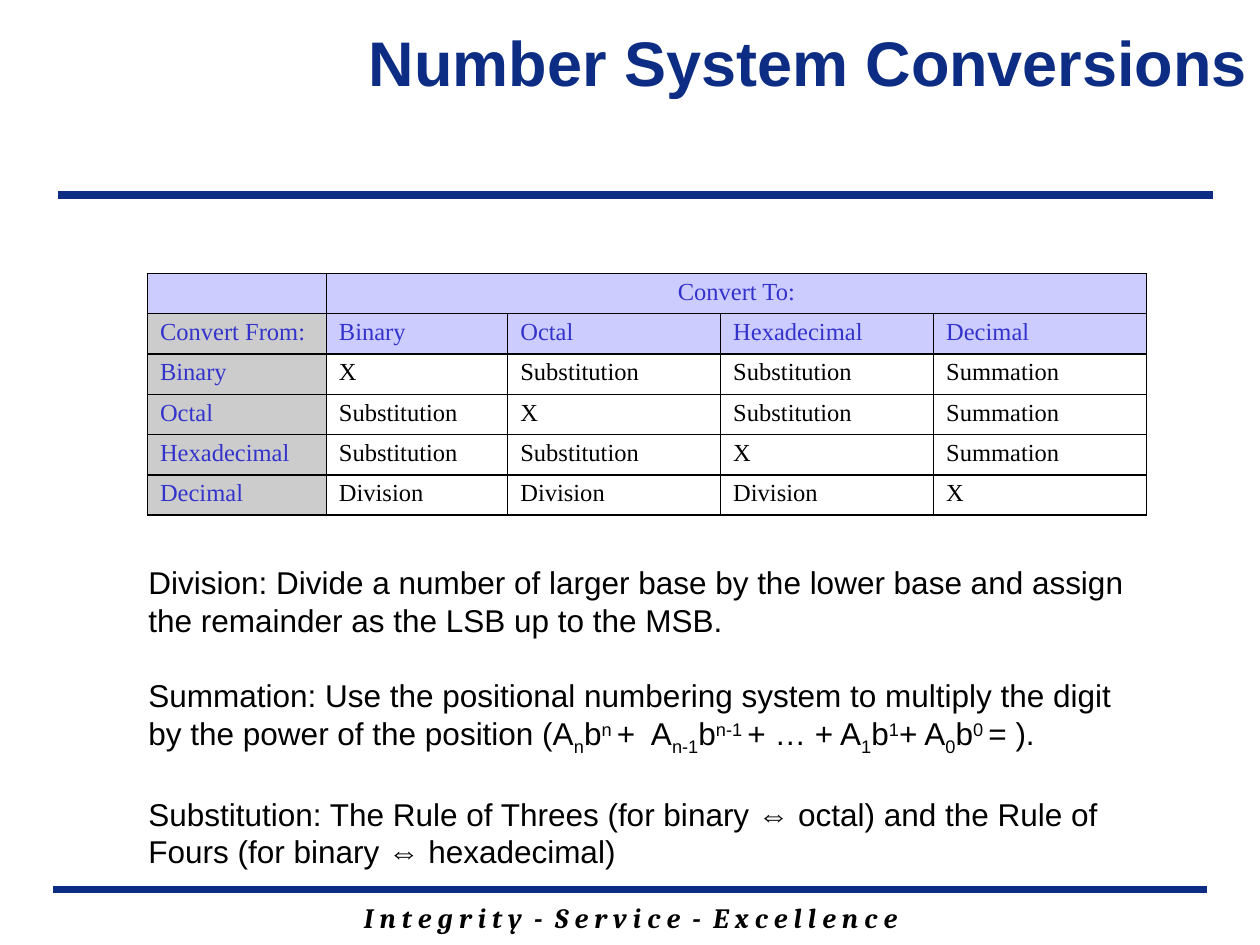
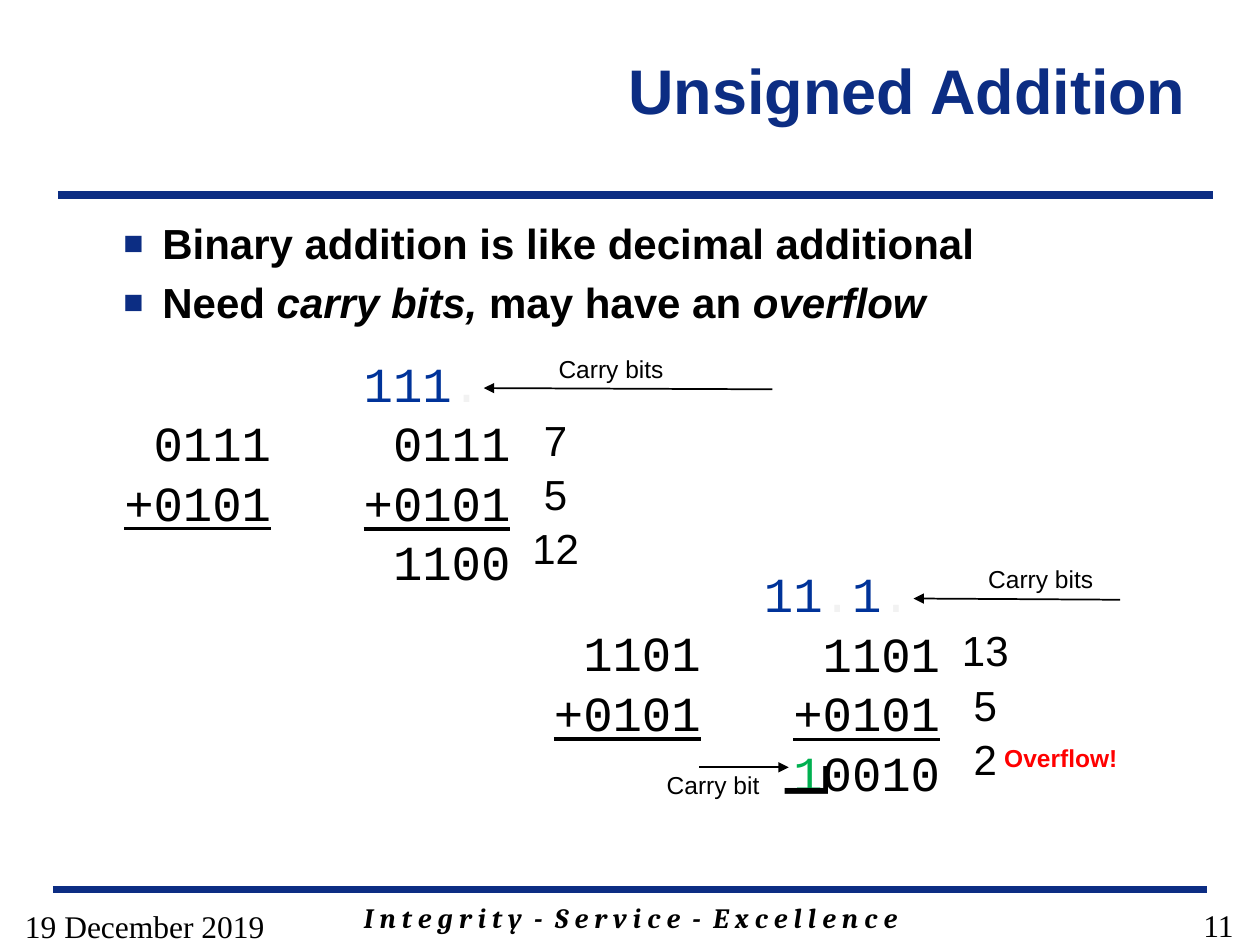
from lxml.etree import SubElement
from pptx import Presentation
from pptx.dml.color import RGBColor
from pptx.enum.shapes import MSO_CONNECTOR
from pptx.enum.text import MSO_ANCHOR, PP_ALIGN
from pptx.oxml.ns import qn
from pptx.util import Emu, Pt

EMU_PER_PX = 9144
NAVY, BLACK, WHITE = "0C2D83", "000000", "FFFFFF"
HEADING_BLUE, LAVENDER, GREY = "3333CC", "CCCCFF", "CCCCCC"
CARRY_BLUE, FAINT, GREEN, RED = "003399", "F2F2F2", "00B050", "FF0000"
SANS, SERIF, MONO, MOTTO_FONT = "Arial", "Times New Roman", "Courier New", "Cambria"
LEFT, CENTER, RIGHT = PP_ALIGN.LEFT, PP_ALIGN.CENTER, PP_ALIGN.RIGHT

MOTTO = "I n t e g r i t y  -  S e r v i c e  -  E x c e l l e n c e"
BASES = ["Binary", "Octal", "Hexadecimal", "Decimal"]
METHODS = [
    ["X", "Substitution", "Substitution", "Summation"],
    ["Substitution", "X", "Substitution", "Summation"],
    ["Substitution", "Substitution", "X", "Summation"],
    ["Division", "Division", "Division", "X"],
]
SUB, SUP = {"baseline": -25}, {"baseline": 30}
DEFINITIONS = [
    ["Division: Divide a number of larger base by the lower base and assign "
     "the remainder as the LSB up to the MSB."],
    ["Summation: Use the positional numbering system to multiply the digit "
     "by the power of the position (A", ("n", SUB), "b", ("n ", SUP),
     "+  A", ("n-1", SUB), "b", ("n-1 ", SUP), "+ … + A", ("1", SUB), "b",
     ("1", SUP), "+ A", ("0", SUB), "b", ("0 ", SUP), "= )."],
    ["Substitution: The Rule of Threes (for binary ⇔ octal) and the Rule of "
     "Fours (for binary ⇔ hexadecimal)"],
]
ITALIC, UNDERLINE = {"italic": True}, {"underline": True}
POINTS = [
    ["Binary addition is like decimal additional"],
    ["Need ", ("carry bits, ", ITALIC), "may have an ", ("overflow", ITALIC)],
]


def px(length):
    """Turn px into EMU."""
    return Emu(round(length * EMU_PER_PX))


def rgb(color):
    """Turn a hex string into a colour."""
    return RGBColor.from_string(color)


def write(paragraph, pieces, size, font=SANS, align=LEFT, **style):
    """Fill a paragraph with plain or individually styled pieces."""
    paragraph.alignment = align
    for piece in pieces:
        words, own = (piece, {}) if isinstance(piece, str) else piece
        look = {**style, **own}
        run = paragraph.add_run()
        run.text = words
        run.font.size, run.font.name = Pt(size), font
        run.font.color.rgb = rgb(look.get("color", BLACK))
        run.font.bold = look.get("bold", False)
        run.font.italic = look.get("italic", False)
        run.font.underline = look.get("underline", False)
        if "baseline" in look:
            run.font._element.set("baseline", str(look["baseline"] * 1000))


def add_text(slide, box, lines, size, wrap=True, anchor=MSO_ANCHOR.TOP, **style):
    """Add a text box with one paragraph for each line of pieces."""
    textbox = slide.shapes.add_textbox(*map(px, box))
    frame = textbox.text_frame
    frame.word_wrap, frame.vertical_anchor = wrap, anchor
    for index, pieces in enumerate(lines):
        paragraph = frame.add_paragraph() if index else frame.paragraphs[0]
        write(paragraph, pieces, size, **style)
    return textbox


def add_line(slide, start, end, color=BLACK, width=1, arrow=False):
    """Draw a straight line, with an arrowhead at its end if asked."""
    line = slide.shapes.add_connector(MSO_CONNECTOR.STRAIGHT, *map(px, (*start, *end)))
    line.line.color.rgb, line.line.width = rgb(color), Pt(width)
    if arrow:
        SubElement(line.line._get_or_add_ln(), qn("a:tailEnd"), type="triangle")
    SubElement(line._element.spPr, qn("a:effectLst"))


def add_frame(deck, title, title_box):
    """Add a slide with its title, two rules and motto."""
    slide = deck.slides.add_slide(deck.slide_layouts[6])
    add_line(slide, (42, 706), (958, 706), NAVY, 4.5)
    add_line(slide, (46, 155), (963, 155), NAVY, 4.5)
    add_text(slide, (142, 710, 717, 37), [[MOTTO]], 16, font=MOTTO_FONT,
             align=CENTER, bold=True, italic=True)
    add_text(slide, title_box, [[title]], 36, anchor=MSO_ANCHOR.MIDDLE,
             align=RIGHT, color=NAVY, bold=True)
    return slide


def style_cell(cell, fill):
    """Fill a cell, tighten it and rule its four sides."""
    cell.margin_top = cell.margin_bottom = px(4)
    cell.fill.solid()
    cell.fill.fore_color.rgb = rgb(fill)
    properties = cell._tc.get_or_add_tcPr()
    for position, side in enumerate(("a:lnL", "a:lnR", "a:lnT", "a:lnB")):
        border = SubElement(properties, qn(side), w=str(Pt(1)))
        solid = SubElement(border, qn("a:solidFill"))
        SubElement(solid, qn("a:srgbClr"), val=BLACK)
        properties.insert(position, border)


def add_conversion_table(slide, left, top):
    """Add the grid of conversion methods between bases."""
    widths, row_height = [142, 144, 169, 169, 169], 32
    rows = [["", "Convert To:", "", "", ""], ["Convert From:", *BASES]]
    rows += [[base, *methods] for base, methods in zip(BASES, METHODS)]
    table = slide.shapes.add_table(
        len(rows), len(widths),
        *map(px, (left, top, sum(widths), row_height * len(rows)))).table
    for column, width in zip(table.columns, widths):
        column.width = px(width)
    for r, row in enumerate(rows):
        table.rows[r].height = px(row_height)
        for c, words in enumerate(row):
            heading = r < 2 or c == 0
            fill = GREY if c == 0 and r else LAVENDER if r < 2 else WHITE
            cell = table.cell(r, c)
            style_cell(cell, fill)
            paragraph = cell.text_frame.paragraphs[0]
            if words:
                write(paragraph, [words], 14, SERIF, LEFT if r else CENTER,
                      color=HEADING_BLUE if heading else BLACK)
            else:
                SubElement(paragraph._p, qn("a:endParaRPr"), sz="1400")
    table.cell(0, 1).merge(table.cell(0, 4))


def add_definitions(slide, box):
    """Explain the three conversion methods."""
    definitions = add_text(slide, box, DEFINITIONS, 18)
    for paragraph in definitions.text_frame.paragraphs[1:]:
        paragraph.space_before = Pt(21.5)


def add_points(slide, box):
    """Add the square-bulleted points."""
    points = add_text(slide, box, POINTS, 24, bold=True)
    for paragraph in points.text_frame.paragraphs:
        paragraph.space_before = Pt(5)
        properties = paragraph._p.get_or_add_pPr()
        properties.set("marL", str(px(31)))
        properties.set("indent", str(px(-31)))
        color = SubElement(properties, qn("a:buClr"))
        SubElement(color, qn("a:srgbClr"), val=NAVY)
        SubElement(properties, qn("a:buSzPct"), val="80000")
        SubElement(properties, qn("a:buFont"), typeface=SANS)
        SubElement(properties, qn("a:buChar"), char="■")


def add_sum_lines(slide, box, lines):
    """Add right-aligned binary digits on evenly spaced lines."""
    digits = add_text(slide, box, lines, 28, font=MONO, align=RIGHT)
    for paragraph in digits.text_frame.paragraphs:
        paragraph.line_spacing = Pt(34)


def add_label(slide, box, words, size=14, **style):
    """Add a centred one-line label."""
    add_text(slide, box, [[words]], size, wrap=False, align=CENTER, **style)


def add_addition(slide, left, top, carries, augend, result, decimals, arrow_length):
    """Add a sum, its worked version, decimal values and carry label."""
    operands = [[augend], [("+0101", UNDERLINE)]]
    add_sum_lines(slide, (left, top + 46, 171, 104), operands)
    add_sum_lines(slide, (left + 190, top - 1, 171, 199), [carries, *operands, result])
    add_line(slide, (left + 330 + arrow_length, top + 33), (left + 330, top + 32),
             arrow=True)
    add_label(slide, (left + 379, top, 104, 34), "Carry bits")
    for index, decimal in enumerate(decimals):
        add_label(slide, (left + 358, top + 48 + 43 * index, 58, 50), decimal, 24)


def add_overflow(slide, left, top):
    """Mark the carry bit that leaves the sum."""
    add_line(slide, (left + 47, top + 50), (left + 118, top + 50), arrow=True)
    add_label(slide, (left, top + 47, 116, 34), "Carry bit")
    add_label(slide, (left + 279, top + 26, 110, 34), "Overflow!", color=RED, bold=True)
    bracket = add_text(slide, (left + 80, top, 100, 71), [["L"]], 36)
    bracket.rotation = 270


def add_conversions_slide(deck):
    """Build the number system conversions slide."""
    slide = add_frame(deck, "Number System Conversions", (150, 0, 850, 97))
    add_conversion_table(slide, 117, 217)
    add_definitions(slide, (108, 442, 808, 252))


def add_addition_slide(deck):
    """Build the unsigned addition slide."""
    slide = add_frame(deck, "Unsigned Addition", (209, 8, 742, 125))
    add_points(slide, (88, 168, 889, 110))
    add_text(slide, (756, 714, 233, 36), [["11"]], 18, font=SERIF, align=RIGHT)
    add_text(slide, (10, 715, 233, 35), [["19 December 2019"]], 18, font=SERIF)
    carry, gap = {"color": CARRY_BLUE}, {"color": FAINT}
    add_addition(slide, 54, 276, [("111", carry), (". ", gap)], "0111",
                 ["1100"], ["7", "5", "12"], 229)
    add_addition(slide, 395, 443,
                 [("11", carry), (".", gap), ("1", carry), (". ", gap)], "1101",
                 [("1", {"color": GREEN}), "0010"], ["13", "5", "2"], 164)
    add_overflow(slide, 508, 559)


def main():
    """Build and save the deck."""
    deck = Presentation()
    deck.slide_width, deck.slide_height = px(1000), px(750)
    add_conversions_slide(deck)
    add_addition_slide(deck)
    deck.save("out.pptx")


if __name__ == "__main__":
    main()
